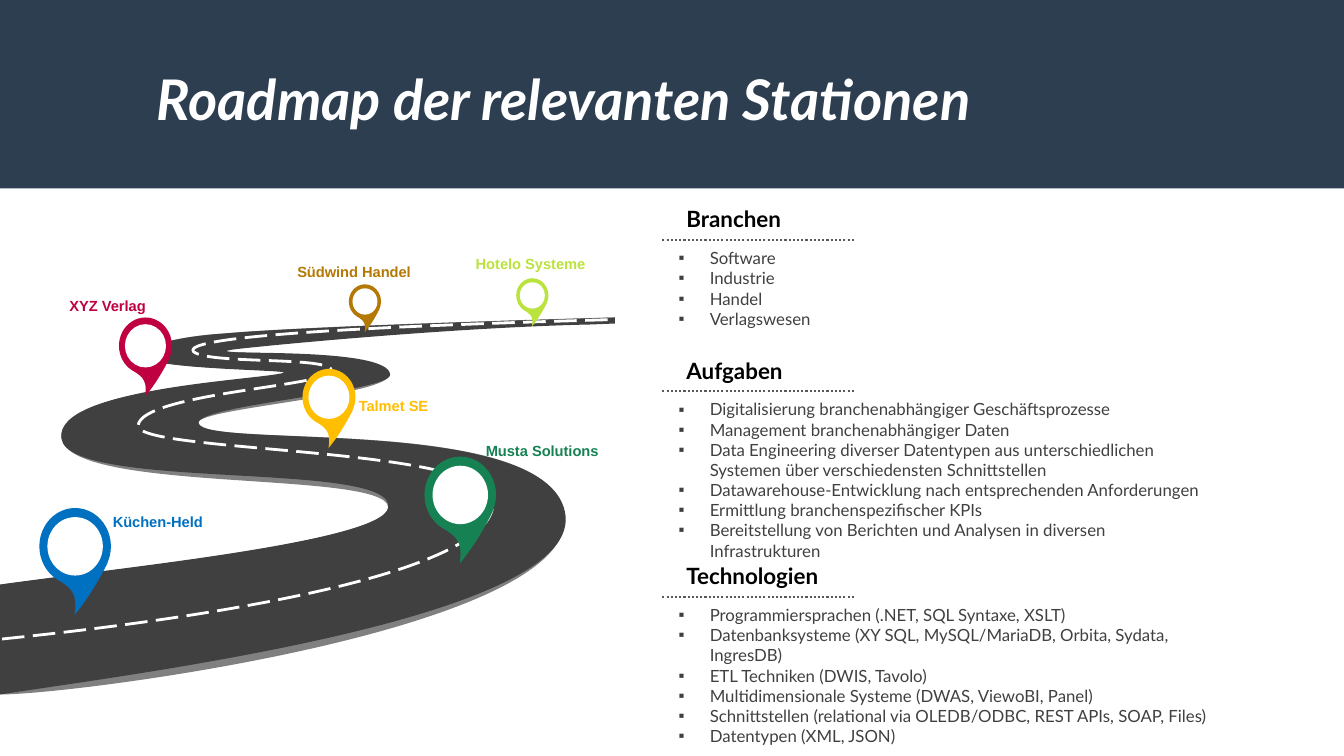
"""Build the slide with the winding road of career stations and their topics."""
from dataclasses import dataclass
from typing import Any

from lxml.etree import SubElement
from pptx import Presentation
from pptx.dml.color import RGBColor
from pptx.enum.dml import MSO_LINE
from pptx.enum.shapes import MSO_CONNECTOR, MSO_SHAPE
from pptx.enum.text import MSO_ANCHOR, MSO_AUTO_SIZE, PP_ALIGN
from pptx.oxml.ns import qn
from pptx.util import Inches, Pt

COLORS = {
    "banner": "2C3E50", "white": "FFFFFF", "black": "000000",
    "text": "404040", "rule": "595959", "road": "404040", "edge": "808080",
    "blue": "0070C0", "green": "168253", "yellow": "FFBF00",
    "red": "BF0041", "brown": "B47804", "lime": "BBE33D",
}
FRAME = {
    "word_wrap": True, "auto_size": MSO_AUTO_SIZE.SHAPE_TO_FIT_TEXT,
    "vertical_anchor": MSO_ANCHOR.TOP,
    "margin_left": Inches(0.1), "margin_right": Inches(0.1),
    "margin_top": Inches(0.05), "margin_bottom": Inches(0.05),
}
PARAGRAPH = {"space_before": Pt(0), "space_after": Pt(0), "line_spacing": 1.0}
TITLE_FONT = {"name": "Lato", "size": Pt(40), "bold": True, "italic": True}
STATION_FONT = {"name": "Arial", "size": Pt(10.5), "bold": True}
HEADING_FONT = {"name": "Lato", "size": Pt(16), "bold": True}
ITEM_FONT = {"name": "Lato", "size": Pt(12), "bold": False}

Point = tuple[float, float]


@dataclass
class Outline:
    start: Point
    segments: list[tuple[float, ...]]
    closed: bool = True


@dataclass
class Station:
    name: str
    color: str
    pin: Point
    scale: float
    label: tuple[float, float, float]


@dataclass
class Topic:
    heading: str
    top: float
    width: float
    height: float
    items: list[str]


ROAD_EDGE = Outline((6.1, 3.15), [
    (6.1, 3.2), (5.85, 3.21),
    (4.6, 3.25, 2.66, 3.38, 2.3, 3.46), (1.88, 3.54, 3.8, 3.44, 3.86, 3.71),
    (3.91, 3.92, 1.98, 4.05, 1.97, 4.19), (1.93, 4.47, 5.48, 4.08, 5.6, 5.11),
    (5.74, 6.24, 0.76, 6.89, 0, 6.89), (0, 5.8),
    (1.6, 5.6, 3.86, 5.34, 3.85, 5.03), (3.82, 4.66, 0.66, 4.9, 0.61, 4.34),
    (0.56, 3.82, 2.69, 3.8, 2.82, 3.7), (2.88, 3.65, 1.48, 3.68, 1.41, 3.52),
    (1.38, 3.44, 1.75, 3.34, 2.2, 3.31), (2.97, 3.24, 5.3, 3.17, 6.08, 3.15),
])
ROAD = Outline((6.1, 3.15), [
    (6.1, 3.17, 6.1, 3.19, 6.1, 3.21), (5.85, 3.22),
    (4.42, 3.25, 2.42, 3.45, 2.3, 3.47), (1.9, 3.54, 3.87, 3.42, 3.87, 3.72),
    (3.86, 3.89, 1.93, 4.02, 1.97, 4.2), (2.03, 4.46, 5.5, 4.1, 5.61, 5.12),
    (5.71, 6.14, 1.29, 6.69, 0, 6.89), (0, 5.8),
    (1.1, 5.64, 3.78, 5.38, 3.85, 5.04), (3.94, 4.56, 0.68, 4.88, 0.61, 4.35),
    (0.54, 3.85, 2.56, 3.77, 2.81, 3.7), (2.95, 3.67, 1.47, 3.67, 1.42, 3.53),
    (1.38, 3.44, 1.76, 3.34, 2.22, 3.31), (3, 3.24, 5.45, 3.17, 6.1, 3.15),
])
LANE = Outline((0.02, 6.34), [
    (0.79, 6.26, 4.89, 5.84, 4.89, 4.99), (4.92, 4.42, 1.33, 4.5, 1.37, 4.22),
    (1.41, 3.9, 3.29, 3.83, 3.29, 3.68), (3.3, 3.53, 2.08, 3.62, 1.92, 3.49),
    (1.72, 3.28, 5.47, 3.19, 6.09, 3.17),
], closed=False)
PIN_TIP = Outline((0.12, 0.66), [
    (0.34, 0.84, 0.59, 0.71, 0.68, 0.54), (0.61, 0.68, 0.5, 0.88, 0.35, 1.06),
    (0.39, 0.79, 0.28, 0.79, 0.12, 0.66),
])
STATIONS = [
    Station("Musta Solutions", "green", (4.21, 4.53), 1, (4.72, 4.33, 1.38)),
    Station("Küchen-Held", "blue", (0.39, 5.04), 1, (1.02, 5.04, 1.29)),
    Station("Hotelo Systeme", "lime", (5.12, 2.76), 0.45, (4.62, 2.48, 1.29)),
    Station("Südwind Handel", "brown", (3.46, 2.82), 0.45, (2.85, 2.56, 1.48)),
    Station("XYZ Verlag", "red", (1.18, 3.15), 0.74, (0.59, 2.9, 1.29)),
    Station("Talmet SE", "yellow", (3, 3.66), 0.74, (3.46, 3.89, 1.29)),
]
TOPICS = [
    Topic("Branchen", 1.99, 1.79, 0.9,
          ["Software", "Industrie", "Handel", "Verlagswesen"]),
    Topic("Aufgaben", 3.49, 5.57, 1.7, [
        "Digitalisierung branchenabhängiger Geschäftsprozesse",
        "Management branchenabhängiger Daten",
        "Data Engineering diverser Datentypen aus unterschiedlichen "
        "Systemen über verschiedensten Schnittstellen",
        "Datawarehouse-Entwicklung nach entsprechenden Anforderungen",
        "Ermittlung branchenspezifischer KPIs",
        "Bereitstellung von Berichten und Analysen in diversen Infrastrukturen",
    ]),
    Topic("Technologien", 5.53, 5.77, 1.5, [
        "Programmiersprachen (.NET, SQL Syntaxe, XSLT)",
        "Datenbanksysteme (XY SQL, MySQL/MariaDB, Orbita, Sydata, IngresDB)",
        "ETL Techniken (DWIS, Tavolo)",
        "Multidimensionale Systeme (DWAS, ViewoBI, Panel)",
        "Schnittstellen (relational via OLEDB/ODBC, REST APIs, SOAP, Files)",
        "Datentypen (XML, JSON)",
    ]),
]


def rgb(color: str) -> RGBColor:
    return RGBColor.from_string(COLORS[color])


def apply(target: Any, values: dict[str, Any]) -> None:
    for attribute, value in values.items():
        setattr(target, attribute, value)


def place(holder: Any, left: float, top: float, width: float, height: float) -> None:
    apply(holder, {"left": Inches(left), "top": Inches(top),
                   "width": Inches(width), "height": Inches(height)})


def write(holder: Any, lines: list[str], font: dict[str, Any], color: str,
          align: PP_ALIGN = PP_ALIGN.LEFT, bulleted: bool = False) -> None:
    frame = holder.text_frame
    apply(frame, FRAME)
    frame.text = "\n".join(lines)
    for paragraph in frame.paragraphs:
        if bulleted:
            add_bullet(paragraph)
        apply(paragraph, PARAGRAPH | {"alignment": align})
        for run in paragraph.runs:
            apply(run.font, font)
            run.font.color.rgb = rgb(color)


def add_bullet(paragraph: Any) -> None:
    properties = paragraph._p.get_or_add_pPr()
    properties.set("marL", str(Inches(0.31)))
    properties.set("indent", str(-Inches(0.31)))
    tint = SubElement(properties, qn("a:buClr"))
    SubElement(tint, qn("a:srgbClr"), val=COLORS["text"])
    SubElement(properties, qn("a:buChar"), char="▪")


def paint(figure: Any, color: str) -> Any:
    figure.shadow.inherit = False
    figure.fill.solid()
    figure.fill.fore_color.rgb = rgb(color)
    figure.line.fill.background()
    return figure


def add_preset(shapes: Any, preset: MSO_SHAPE, box: tuple[float, ...], color: str) -> Any:
    return paint(shapes.add_shape(preset, *map(Inches, box)), color)


def add_outline(shapes: Any, outline: Outline, origin: Point = (0, 0),
                scale: float = 1) -> Any:
    def locate(x: float, y: float) -> tuple[int, int]:
        return Inches(origin[0] + x * scale), Inches(origin[1] + y * scale)

    builder = shapes.build_freeform(*locate(*outline.start))
    builder.add_line_segments([locate(*s[-2:]) for s in outline.segments], outline.closed)
    figure = builder.convert_to_shape()
    steps = list(figure._element.iter(qn("a:lnTo")))
    for step, segment in zip(steps, outline.segments):
        if len(segment) == 6:
            step.tag = qn("a:cubicBezTo")
            for index in (0, 1):
                x, y = locate(*segment[2 * index:2 * index + 2])
                step.insert(index, step.makeelement(
                    qn("a:pt"), {"x": str(x - figure.left), "y": str(y - figure.top)}))
    return figure


def add_road(shapes: Any) -> None:
    paint(add_outline(shapes, ROAD_EDGE), "edge")
    paint(add_outline(shapes, ROAD), "road")
    lane = paint(add_outline(shapes, LANE), "white")
    lane.fill.background()
    lane.line.color.rgb = rgb("white")
    apply(lane.line, {"width": Pt(2), "dash_style": MSO_LINE.LONG_DASH})


def add_station(shapes: Any, station: Station) -> None:
    (left, top), scale = station.pin, station.scale
    add_preset(shapes, MSO_SHAPE.OVAL, (left, top, 0.71 * scale, 0.76 * scale), station.color)
    paint(add_outline(shapes, PIN_TIP, station.pin, scale), station.color)
    add_preset(shapes, MSO_SHAPE.OVAL, (left + 0.08 * scale, top + 0.09 * scale,
                                        0.55 * scale, 0.58 * scale), "white")
    label = shapes.add_textbox(*map(Inches, (*station.label, 0.27)))
    write(label, [station.name], STATION_FONT, station.color)


def add_topic(shapes: Any, body: Any, topic: Topic) -> None:
    heading = shapes.add_textbox(*map(Inches, (6.71, topic.top, 2.22, 0.36)))
    write(heading, [topic.heading], HEADING_FONT, "black")
    level = Inches(topic.top + 0.39)
    rule = shapes.add_connector(MSO_CONNECTOR.STRAIGHT, Inches(6.57), level, Inches(8.47), level)
    rule.line.color.rgb = rgb("rule")
    apply(rule.line, {"width": Pt(1.5), "dash_style": MSO_LINE.ROUND_DOT})
    SubElement(rule._element.spPr, qn("a:effectLst"))
    place(body, 6.63, topic.top + 0.42, topic.width, topic.height)
    write(body, topic.items, ITEM_FONT, "text", bulleted=True)


def main() -> None:
    deck = Presentation()
    apply(deck, {"slide_width": Inches(13.33), "slide_height": Inches(7.5)})
    slide = deck.slides.add_slide(deck.slide_layouts.get_by_name("Comparison"))
    shapes = slide.shapes
    title, *bodies, spare = slide.placeholders
    spare._element.getparent().remove(spare._element)
    banner = add_preset(shapes, MSO_SHAPE.RECTANGLE, (0, 0, 13.33, 1.87), "banner")
    shapes._spTree.insert(2, banner._element)
    place(title, 0.67, 0.59, 9.84, 0.76)
    write(title, ["Roadmap der relevanten Stationen"], TITLE_FONT, "white", PP_ALIGN.CENTER)
    add_road(shapes)
    for station in STATIONS:
        add_station(shapes, station)
    for body, topic in zip(bodies, TOPICS):
        add_topic(shapes, body, topic)
    deck.save("out.pptx")


if __name__ == "__main__":
    main()
